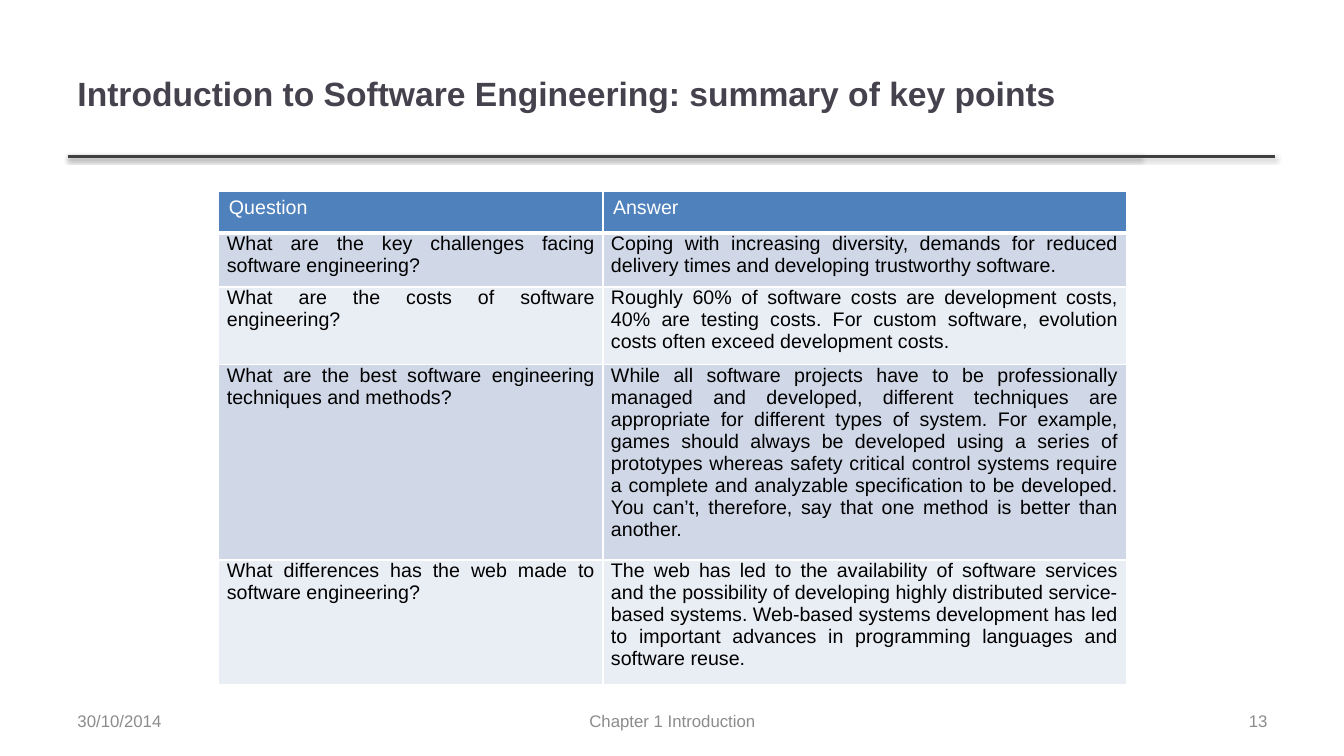
from lxml import etree
from pptx import Presentation
from pptx.dml.color import RGBColor
from pptx.enum.shapes import MSO_CONNECTOR
from pptx.enum.text import MSO_ANCHOR, PP_ALIGN
from pptx.oxml import parse_xml
from pptx.oxml.ns import nsdecls, qn
from pptx.util import Inches, Pt

STRAIGHT = MSO_CONNECTOR.STRAIGHT
MIDDLE = MSO_ANCHOR.MIDDLE
LEFT, CENTER, RIGHT, JUSTIFY = PP_ALIGN.LEFT, PP_ALIGN.CENTER, PP_ALIGN.RIGHT, PP_ALIGN.JUSTIFY
FONT = "Arial"
COLORS = {
    "title": "46424D", "rule": "404040", "footer": "8C8C8C",
    "header": "4F81BD", "odd": "D0D8E8", "even": "E9EDF4",
    "white": "FFFFFF", "black": "000000",
}
MARGIN = 0.67
ROW_HEIGHT = 0.41
COLUMN_WIDTHS = [3.81, 5.19]

ROWS = [
    ("Question", "Answer"),
    ("What are the key challenges facing software engineering?",
     "Coping with increasing diversity, demands for reduced delivery times and "
     "developing trustworthy software."),
    ("What are the costs of software engineering?",
     "Roughly 60% of software costs are development costs, 40% are testing costs. "
     "For custom software, evolution costs often exceed development costs."),
    ("What are the best software engineering techniques and methods?",
     "While all software projects have to be professionally managed and developed, "
     "different techniques are appropriate for different types of system. For example, "
     "games should always be developed using a series of prototypes whereas safety "
     "critical control systems require a complete and analyzable specification to be "
     "developed. You can’t, therefore, say that one method is better than another."),
    ("What differences has the web made to software engineering?",
     "The web has led to the availability of software services and the possibility of "
     "developing highly distributed service-based systems. Web-based systems development "
     "has led to important advances in programming languages and software reuse."),
]


def style_paragraph(para, text, size, color, align, bold=False):
    para.text = text
    para.alignment = align
    para.font.name = FONT
    para.font.size = Pt(size)
    para.font.bold = bold
    para.font.color.rgb = RGBColor.from_string(COLORS[color])


def add_label(page, text, left, top, width, height, size, color, align, bold=False):
    box = page.shapes.add_textbox(Inches(left), Inches(top), Inches(width), Inches(height))
    box.text_frame.word_wrap = True
    box.text_frame.vertical_anchor = MIDDLE
    style_paragraph(box.text_frame.paragraphs[0], text, size, color, align, bold)


deck = Presentation()
deck.slide_width = Inches(13.33)
deck.slide_height = Inches(7.5)
page = deck.slides.add_slide(deck.slide_layouts[6])

for rule_end in (11.32, 12.65):
    rule = page.shapes.add_connector(
        STRAIGHT, Inches(MARGIN), Inches(1.55), Inches(rule_end), Inches(1.55))
    rule.line.color.rgb = RGBColor.from_string(COLORS["rule"])
    rule.line.width = Pt(2)
    rule._element.spPr.append(parse_xml(
        f'<a:effectLst {nsdecls("a")}>'
        f'<a:outerShdw blurRad="{Pt(3.1)}" dist="{Pt(1.6)}" dir="5400000" rotWithShape="0">'
        f'<a:srgbClr val="{COLORS["black"]}"><a:alpha val="38000"/></a:srgbClr>'
        '</a:outerShdw></a:effectLst>'))

add_label(page, "Introduction to Software Engineering: summary of key points",
          MARGIN, 0.3, 10.63, 1.25, 24, "title", LEFT, bold=True)

table = page.shapes.add_table(
    len(ROWS), len(COLUMN_WIDTHS), Inches(2.17), Inches(1.9),
    Inches(sum(COLUMN_WIDTHS)), Inches(ROW_HEIGHT * len(ROWS))).table
for column, width in zip(table.columns, COLUMN_WIDTHS):
    column.width = Inches(width)

for row_index, texts in enumerate(ROWS):
    is_header = row_index == 0
    table.rows[row_index].height = Inches(ROW_HEIGHT)
    fill = "header" if is_header else ("odd" if row_index % 2 else "even")
    for column_index, text in enumerate(texts):
        cell = table.cell(row_index, column_index)
        if not is_header:
            cell.margin_left = cell.margin_right = Inches(0.08)
            cell.margin_top = 0
            cell.margin_bottom = Inches(0.07)
        style_paragraph(cell.text_frame.paragraphs[0], text, 14,
                        "white" if is_header else "black",
                        LEFT if is_header else JUSTIFY)
        properties = cell._tc.get_or_add_tcPr()
        for side in ("lnL", "lnR", "lnT", "lnB"):
            width = 3 if is_header and side == "lnB" else 1
            border = etree.SubElement(properties, qn(f"a:{side}"), w=str(Pt(width)))
            solid = etree.SubElement(border, qn("a:solidFill"))
            etree.SubElement(solid, qn("a:srgbClr"), val=COLORS["white"])
        cell.fill.solid()
        cell.fill.fore_color.rgb = RGBColor.from_string(COLORS[fill])

for text, left, width, align in (
    ("Chapter 1 Introduction", 4.56, 4.22, CENTER),
    ("30/10/2014", MARGIN, 3.11, LEFT),
    ("13", 9.56, 3.11, RIGHT),
):
    add_label(page, text, left, 6.95, width, 0.4, 12, "footer", align)

deck.save("out.pptx")
